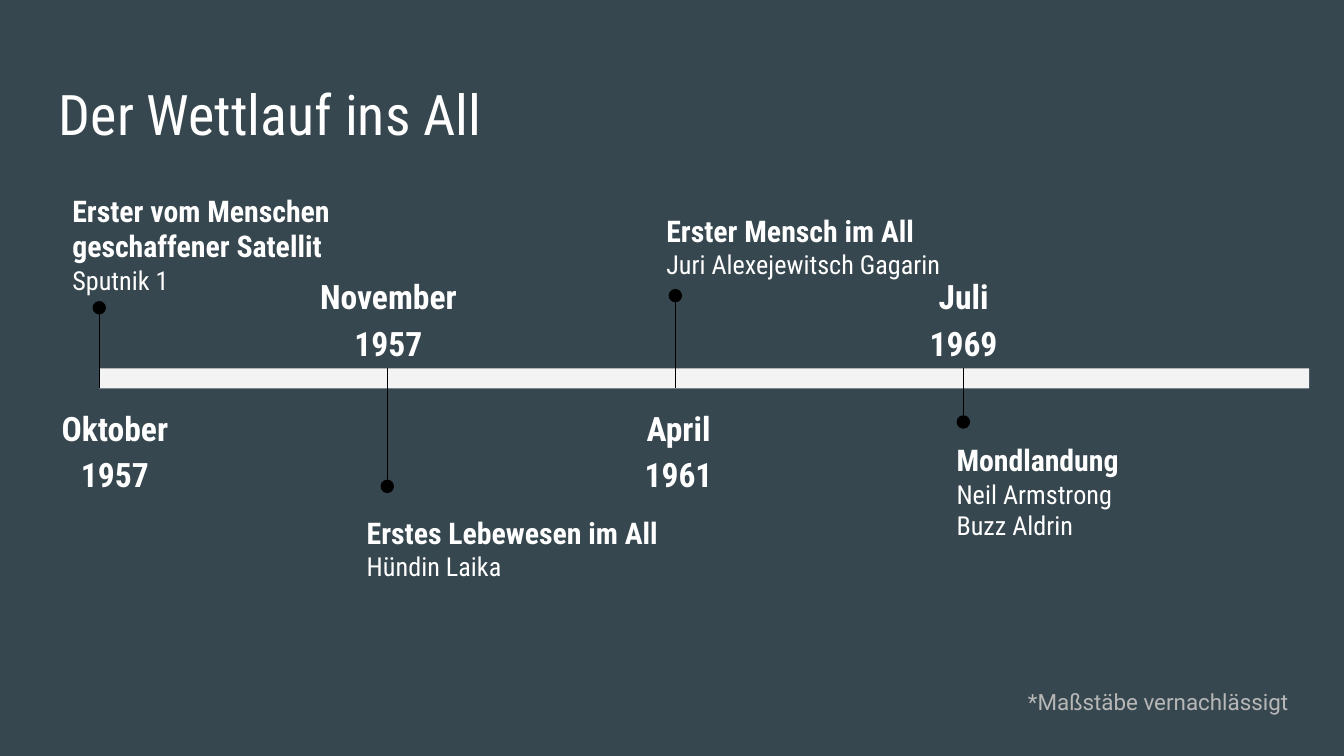
"""Build a timeline slide about the space race."""
from lxml import etree
from pptx import Presentation
from pptx.dml.color import RGBColor
from pptx.enum.shapes import MSO_CONNECTOR, MSO_SHAPE
from pptx.enum.text import PP_ALIGN
from pptx.oxml.ns import qn
from pptx.util import Pt

LEFT, CENTER = PP_ALIGN.LEFT, PP_ALIGN.CENTER
RECTANGLE, OVAL = MSO_SHAPE.RECTANGLE, MSO_SHAPE.OVAL
STRAIGHT = MSO_CONNECTOR.STRAIGHT
CONDENSED = "Roboto Condensed"
BAR_LEFT, BAR_RIGHT, BAR_TOP, BAR_HEIGHT = 53.2, 701.3, 197.3, 10.8
STEP, DOT = 154.3, 7.2


def color(value):
    return RGBColor.from_string(value)


def add_text(frame, paragraphs, align=LEFT, spacing=None, after=0, font=CONDENSED, ink="FFFFFF"):
    box = slide.shapes.add_textbox(*[Pt(length) for length in frame])
    text = box.text_frame
    text.word_wrap = True
    text.margin_left = text.margin_right = text.margin_top = text.margin_bottom = Pt(7.2)
    for index, runs in enumerate(paragraphs):
        para = text.add_paragraph() if index else text.paragraphs[0]
        para.alignment = align
        para.space_after = Pt(after)
        if spacing:
            para.line_spacing = spacing
        for words, size, bold in runs:
            if words == "\n":
                para.add_line_break()
                continue
            span = para.add_run()
            span.text = words
            span.font.name = font
            span.font.size = Pt(size)
            span.font.bold = bold
            span.font.color.rgb = color(ink)


deck = Presentation()
deck.slide_width, deck.slide_height = Pt(720), Pt(405)
slide = deck.slides.add_slide(deck.slide_layouts[6])
slide.background.fill.solid()
slide.background.fill.fore_color.rgb = color("37474F")

add_text((24.5, 35.3, 671, 45.4), [[("Der Wettlauf ins All", 30, False)]])

# date, date frame, dot centre, description frame, description
events = [
    ("Oktober 1957", (18.7, 208.1, 85.7, 66), 164.9, (31.7, 95.8, 177.1, 74.2),
     [[("Erster vom Menschen ", 16, True), ("\n", 16, True),
       ("geschaffener Satellit ", 16, True), ("Sputnik 1", 14, False)]]),
    ("November 1957", (162, 137.5, 92.2, 55.4), 260.6, (189.4, 268.6, 177.1, 74.2),
     [[("Erstes Lebewesen im All", 16, True)], [("Hündin Laika", 14, False)]]),
    ("April 1961", (336.2, 208.1, 54.7, 66), 158.4, (349.9, 106.6, 177.1, 64.1),
     [[("Erster Mensch im All", 16, True)], [("Juri Alexejewitsch Gagarin", 14, False)]]),
    ("Juli 1969", (486.7, 137.5, 59, 59), 226.1, (505.4, 229.7, 177.1, 74.2),
     [[("Mondlandung", 16, True)], [("Neil Armstrong", 14, False)],
      [("Buzz Aldrin", 14, False)]]),
]

for index, (date, date_frame, dot_y, story_frame, story) in enumerate(events):
    x = BAR_LEFT + index * STEP
    width = STEP if index < len(events) - 1 else BAR_RIGHT - x
    stem_end = BAR_TOP + BAR_HEIGHT if dot_y < BAR_TOP else BAR_TOP
    marks = [
        (RECTANGLE, (x, BAR_TOP, width, BAR_HEIGHT), "F3F3F3"),
        (OVAL, (x - DOT / 2, dot_y - DOT / 2, DOT, DOT), "000000"),
    ]
    for kind, frame, fill in marks:
        shape = slide.shapes.add_shape(kind, *[Pt(length) for length in frame])
        shape.shadow.inherit = False
        shape.fill.solid()
        shape.fill.fore_color.rgb = color(fill)
        shape.line.fill.background()
    stem = slide.shapes.add_connector(STRAIGHT, Pt(x), Pt(dot_y), Pt(x), Pt(stem_end))
    stem.line.color.rgb = color("000000")
    stem.line.width = Pt(0.75)
    etree.SubElement(stem._element.spPr, qn("a:effectLst"))
    add_text(date_frame, [[(date, 18, True)]], CENTER, 1.15, 16)
    add_text(story_frame, story)

add_text((543.6, 361.4, 176.4, 40.3), [[("*Maßstäbe vernachlässigt", 12, False)]],
         font="Roboto", ink="B7B7B7")

deck.save("out.pptx")
